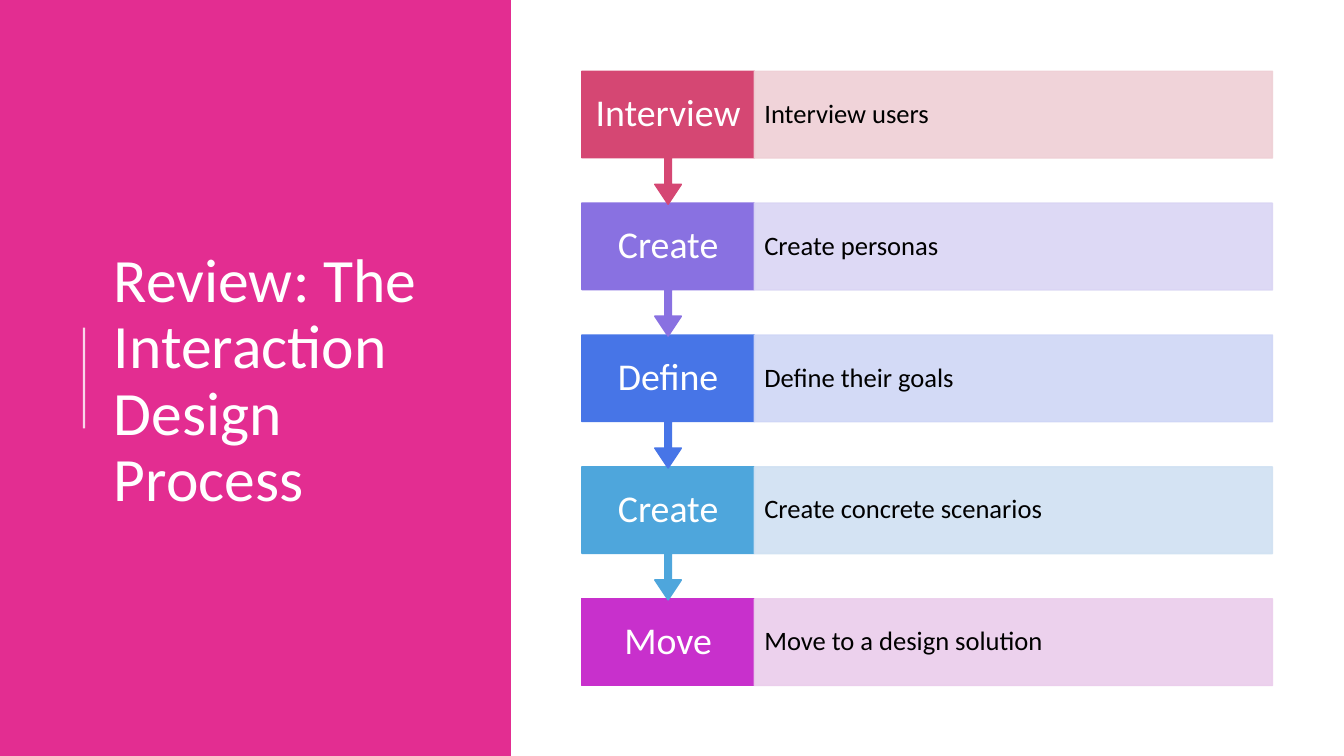
import pptx
import pptx.util
import pptx.dml.color
import pptx.enum.shapes
import pptx.enum.text
import pptx.oxml
import pptx.oxml.ns

Pt = pptx.util.Pt
RGBColor = pptx.dml.color.RGBColor
MSO_SHAPE = pptx.enum.shapes.MSO_SHAPE
PP_ALIGN = pptx.enum.text.PP_ALIGN
MSO_ANCHOR = pptx.enum.text.MSO_ANCHOR

PINK = RGBColor(0xE3, 0x2D, 0x91)
WHITE = RGBColor(0xFF, 0xFF, 0xFF)
BLACK = RGBColor(0x00, 0x00, 0x00)
ROSE = RGBColor(0xD5, 0x47, 0x73)
PALE_ROSE = RGBColor(0xEF, 0xCF, 0xD5)
VIOLET = RGBColor(0x89, 0x71, 0xE1)
PALE_VIOLET = RGBColor(0xDA, 0xD5, 0xF4)
BLUE = RGBColor(0x47, 0x75, 0xE7)
PALE_BLUE = RGBColor(0xCF, 0xD6, 0xF6)
SKY = RGBColor(0x4E, 0xA6, 0xDC)
PALE_SKY = RGBColor(0xD0, 0xE1, 0xF2)
MAGENTA = RGBColor(0xC8, 0x30, 0xCC)
PALE_MAGENTA = RGBColor(0xEB, 0xCD, 0xEC)

STEPS = [
    ("Interview", "Interview users", ROSE, PALE_ROSE),
    ("Create", "Create personas", VIOLET, PALE_VIOLET),
    ("Define", "Define their goals", BLUE, PALE_BLUE),
    ("Create", "Create concrete scenarios", SKY, PALE_SKY),
    ("Move", "Move to a design solution", MAGENTA, PALE_MAGENTA),
]
TOP, PITCH, BOX_HEIGHT, CALLOUT_HEIGHT = 50.9, 94.2, 62, 95
VERB_LEFT, VERB_WIDTH = 415.6, 123.3
DETAIL_LEFT, DETAIL_WIDTH = VERB_LEFT + VERB_WIDTH, 370


def set_alpha(element, percent):
    for color in element.iter(pptx.oxml.ns.qn("a:srgbClr")):
        alpha = pptx.oxml.parse_xml("<a:alpha %s/>" % pptx.oxml.ns.nsdecls("a"))
        alpha.set("val", str(percent * 1000))
        color.append(alpha)


def write(tf, text, size, color, align, inset_x, inset_y):
    tf.word_wrap = True
    tf.auto_size = pptx.enum.text.MSO_AUTO_SIZE.NONE
    tf.vertical_anchor = MSO_ANCHOR.MIDDLE
    tf.margin_left = tf.margin_right = Pt(inset_x)
    tf.margin_top = tf.margin_bottom = Pt(inset_y)
    p = tf.paragraphs[0]
    p.alignment = align
    p.line_spacing = 0.9
    r = p.add_run()
    r.text = text
    r.font.size = Pt(size)
    r.font.name = "Calibri"
    r.font.color.rgb = color


prs = pptx.Presentation()
prs.slide_width = Pt(960)
prs.slide_height = Pt(540)
s = prs.slides.add_slide(prs.slide_layouts[5])

panel = s.shapes.add_shape(MSO_SHAPE.RECTANGLE, 0, 0, Pt(365), Pt(540))
panel.shadow.inherit = False
panel.fill.solid()
panel.fill.fore_color.rgb = PINK
panel.line.fill.background()

title = s.shapes.title
title.left, title.top, title.width, title.height = Pt(74.2), Pt(56.2), Pt(265.7), Pt(433.4)
title.element.addprevious(panel.element)
write(title.text_frame, "Review: The Interaction Design Process", 44, WHITE,
      PP_ALIGN.LEFT, 7.2, 3.6)

rule = s.shapes.add_connector(pptx.enum.shapes.MSO_CONNECTOR.STRAIGHT,
                              Pt(60), Pt(306), Pt(60), Pt(234))
rule.line.color.rgb = WHITE
rule.line.width = Pt(1.5)
set_alpha(rule.element, 80)
rule.element.spPr.append(
    pptx.oxml.parse_xml("<a:effectLst %s/>" % pptx.oxml.ns.nsdecls("a")))

for i, (verb, detail, color, pale) in reversed(list(enumerate(STEPS))):
    top = Pt(TOP + i * PITCH)
    if i == len(STEPS) - 1:
        kind, height = MSO_SHAPE.RECTANGLE, BOX_HEIGHT
    else:
        kind, height = MSO_SHAPE.DOWN_ARROW_CALLOUT, CALLOUT_HEIGHT
    verb_box = s.shapes.add_shape(kind, Pt(VERB_LEFT), top, Pt(VERB_WIDTH), Pt(height))
    if kind == MSO_SHAPE.DOWN_ARROW_CALLOUT:
        for n, value in enumerate((0.05, 0.1, 0.15, 0.65)):
            verb_box.adjustments[n] = value
    detail_box = s.shapes.add_shape(MSO_SHAPE.RECTANGLE, Pt(DETAIL_LEFT), top,
                                    Pt(DETAIL_WIDTH), Pt(BOX_HEIGHT))
    for sp, shade in ((verb_box, color), (detail_box, pale)):
        sp.shadow.inherit = False
        sp.fill.solid()
        sp.fill.fore_color.rgb = shade
        sp.line.color.rgb = shade
        sp.line.width = Pt(1)
    set_alpha(detail_box.element.spPr, 90)
    write(verb_box.text_frame, verb, 27, WHITE, PP_ALIGN.CENTER, 8.7, 15)
    write(detail_box.text_frame, detail, 19, BLACK, PP_ALIGN.LEFT, 7.2, 18.7)

prs.save("out.pptx")
